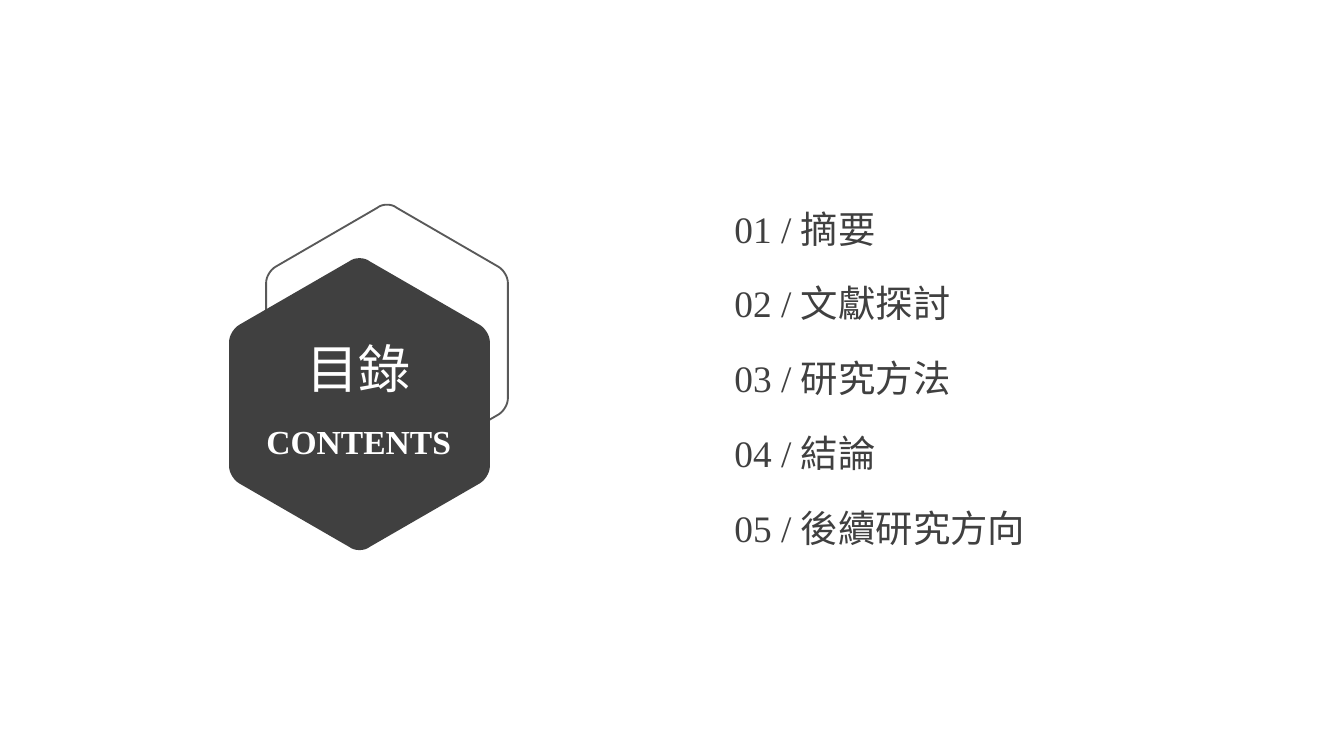
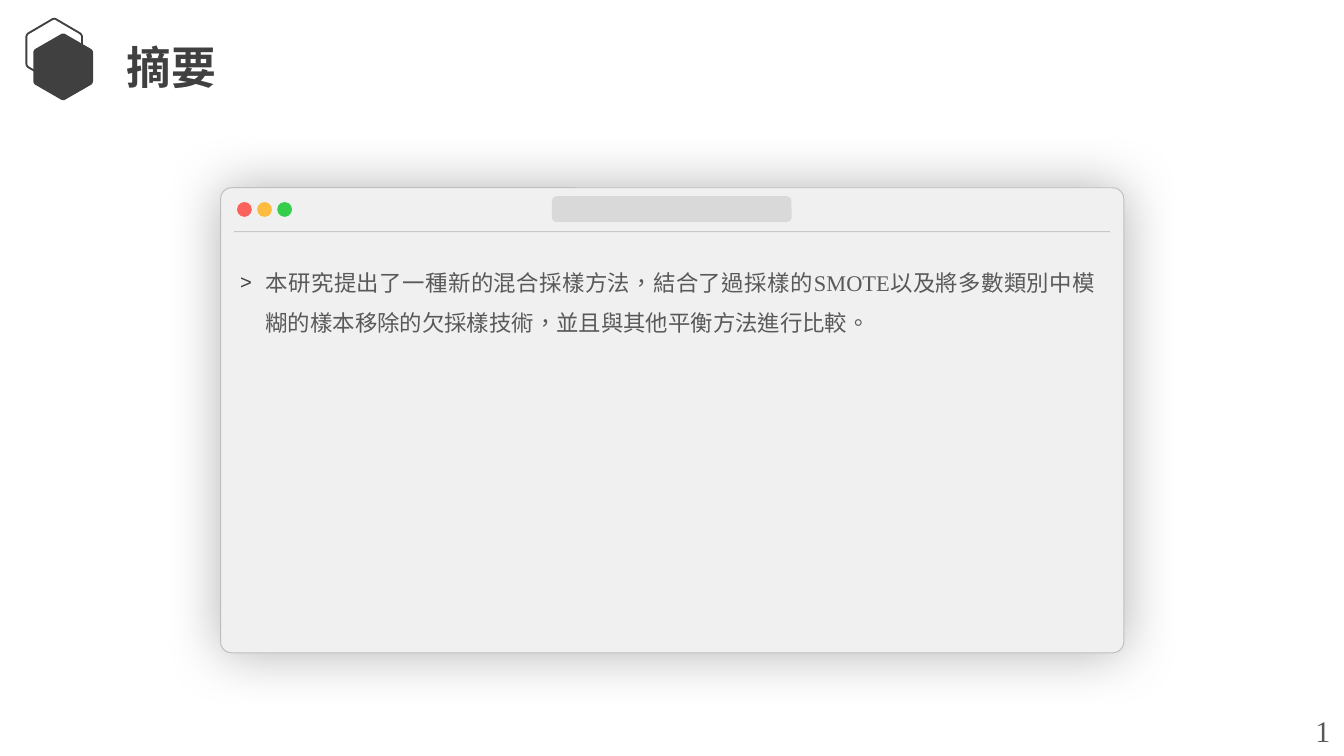
from dataclasses import dataclass

from lxml import etree
from pptx import Presentation
from pptx import util as u
from pptx.dml.color import RGBColor
from pptx.enum import lang, shapes, text
from pptx.oxml.ns import qn

DARK = RGBColor(0x40, 0x40, 0x40)
GREY = RGBColor(0x59, 0x59, 0x59)
BORDER = RGBColor(0xBF, 0xBF, 0xBF)
FIELD = RGBColor(0xD9, 0xD9, 0xD9)
PANEL = RGBColor(0xF0, 0xF0, 0xF0)
WHITE = RGBColor(0xFF, 0xFF, 0xFF)
RED = RGBColor(0xFC, 0x62, 0x5D)
AMBER = RGBColor(0xFD, 0xBC, 0x40)
GREEN = RGBColor(0x35, 0xCD, 0x4B)

FONT = "Times New Roman"
TIGHT = (0.18, 0.1)
ROOMY = (0.25, 0.13)
CURVE_STEPS = 8

# Rounded corners of a unit hexagon, as cubic curves
TOP_CORNER = [(0.46, 0.015), (0.48, 0), (0.52, 0), (0.54, 0.015)]
SIDE_CORNER = [(0.96, 0.23), (0.98, 0.24), (1, 0.265), (1, 0.29)]


@dataclass
class Area:
    """A place on the slide, in centimetres."""
    left: float
    top: float
    width: float
    height: float

    def lengths(self) -> list[u.Cm]:
        return [u.Cm(v) for v in (self.left, self.top, self.width, self.height)]


@dataclass
class Paint:
    fill: RGBColor | None = None
    line: RGBColor | None = None
    weight: float = 1


@dataclass
class Style:
    size: float
    color: RGBColor
    bold: bool = False


def apply_paint(shape, paint: Paint) -> None:
    shape.shadow.inherit = False
    if paint.fill is None:
        shape.fill.background()
    else:
        shape.fill.solid()
        shape.fill.fore_color.rgb = paint.fill
    if paint.line is None:
        shape.line.fill.background()
    else:
        shape.line.color.rgb = paint.line
        shape.line.width = u.Pt(paint.weight)


def add_block(canvas, kind, area: Area, paint: Paint, rounding: float | None = None):
    shape = canvas.add_shape(kind, *area.lengths())
    if rounding is not None:
        shape.adjustments[0] = rounding
    apply_paint(shape, paint)
    return shape


def curve_points(corner: list) -> list:
    """Points along one cubic curve."""
    points = []
    for step in range(CURVE_STEPS + 1):
        t = step / CURVE_STEPS
        weights = ((1 - t) ** 3, 3 * t * (1 - t) ** 2, 3 * t * t * (1 - t), t ** 3)
        points.append(tuple(sum(w * p[axis] for w, p in zip(weights, corner))
                            for axis in (0, 1)))
    return points


def hexagon_outline() -> list:
    upper_right = curve_points(SIDE_CORNER)
    lower_right = [(x, 1 - y) for x, y in reversed(upper_right)]
    right = curve_points(TOP_CORNER) + upper_right + lower_right
    # The left half is the right half turned by 180 degrees
    return right + [(1 - x, 1 - y) for x, y in right]


def add_hexagon(canvas, area: Area, paint: Paint) -> None:
    points = [(u.Cm(area.left + x * area.width), u.Cm(area.top + y * area.height))
              for x, y in hexagon_outline()]
    builder = canvas.build_freeform(*points[0])
    builder.add_line_segments(points[1:], close=True)
    apply_paint(builder.convert_to_shape(), paint)


def add_box(canvas, area: Area, insets=TIGHT, wrap=True, grow=True):
    box = canvas.add_textbox(*area.lengths())
    frame = box.text_frame
    frame.word_wrap = wrap
    if grow:
        frame.auto_size = text.MSO_AUTO_SIZE.SHAPE_TO_FIT_TEXT
    frame.margin_left = frame.margin_right = u.Cm(insets[0])
    frame.margin_top = frame.margin_bottom = u.Cm(insets[1])
    return frame


def add_span(para, wording: str, style: Style) -> None:
    span = para.add_run()
    span.text = wording
    span.font.name = FONT
    span.font.size = u.Pt(style.size)
    span.font.bold = style.bold
    span.font.color.rgb = style.color
    span.font.language_id = lang.MSO_LANGUAGE_ID.TRADITIONAL_CHINESE


def add_xml(parent, tag: str, **attributes: str):
    return etree.SubElement(parent, qn(tag), attributes)


def add_bullet(para, mark: str, indent: float) -> None:
    props = para._p.get_or_add_pPr()
    props.set("marL", str(u.Cm(indent)))
    props.set("indent", str(-u.Cm(indent)))
    add_xml(add_xml(props, "a:buClr"), "a:srgbClr", val=str(DARK))
    add_xml(props, "a:buSzPct", val="90000")
    add_xml(props, "a:buFont", typeface="Arial")
    add_xml(props, "a:buChar", char=mark)


def add_glow(shape) -> None:
    """A soft dark shadow on all sides."""
    effects = shape._element.spPr.find(qn("a:effectLst"))
    shadow = add_xml(effects, "a:outerShdw", blurRad=str(u.Pt(30)), dist="0",
                     algn="ctr", rotWithShape="0")
    color = add_xml(shadow, "a:srgbClr", val="000000")
    add_xml(color, "a:alpha", val="30000")


def add_rule(canvas, left: float, right: float, top: float) -> None:
    rule = canvas.add_connector(shapes.MSO_CONNECTOR.STRAIGHT,
                                u.Cm(left), u.Cm(top), u.Cm(right), u.Cm(top))
    rule.line.color.rgb = BORDER
    rule.line.width = u.Pt(0.5)
    props = rule._element.spPr
    add_xml(props.find(".//" + qn("a:srgbClr")), "a:alpha", val="80000")
    add_xml(props, "a:effectLst")


def add_emblem(canvas, outline: Area, solid: Area, line: RGBColor) -> None:
    add_hexagon(canvas, outline, Paint(line=line))
    add_hexagon(canvas, solid, Paint(fill=DARK))


def add_heading(page, title: str) -> None:
    canvas = page.shapes.add_group_shape().shapes
    add_emblem(canvas, Area(0.5, 0.35, 1.05, 1.2), Area(0.63, 0.63, 1.13, 1.27), DARK)
    frame = add_box(canvas, Area(2.21, 0.66, 2.69, 1.22))
    add_span(frame.paragraphs[0], title, Style(24, DARK, bold=True))


def add_page_number(page, number: int) -> None:
    frame = add_box(page.shapes, Area(24.61, 13.35, 0.79, 0.94), ROOMY, wrap=False)
    add_span(frame.paragraphs[0], str(number), Style(16, GREY))


def add_window(page) -> None:
    canvas = page.shapes.add_group_shape().shapes
    rounded = shapes.MSO_SHAPE.ROUNDED_RECTANGLE
    panel = add_block(canvas, rounded, Area(4.17, 3.55, 17.07, 8.79),
                      Paint(PANEL, BORDER, 0.5), 0.024)
    add_glow(panel)
    # Window buttons
    for index, color in enumerate((RED, AMBER, GREEN)):
        add_block(canvas, shapes.MSO_SHAPE.OVAL,
                  Area(4.48 + 0.38 * index, 3.82, 0.28, 0.28), Paint(color))
    # Address field and the rule below it
    add_block(canvas, rounded, Area(10.43, 3.71, 4.53, 0.49), Paint(FIELD), 0.19)
    add_rule(canvas, 4.42, 20.98, 4.38)


def build_contents(page) -> None:
    emblem = page.shapes.add_group_shape().shapes
    add_emblem(emblem, Area(5.03, 3.85, 4.57, 5.18), Area(4.33, 4.86, 4.93, 5.56), GREY)
    # Emblem title
    frame = add_box(page.shapes, Area(4.47, 6.25, 4.62, 2.59))
    title, subtitle = frame.paragraphs[0], frame.add_paragraph()
    title.alignment = subtitle.alignment = text.PP_ALIGN.CENTER
    title.space_after = u.Pt(12)
    add_span(title, "目錄", Style(28, WHITE))
    add_span(subtitle, "CONTENTS", Style(18, WHITE, bold=True))
    # Chapter list
    chapters = ("摘要", "文獻探討", "研究方法", "結論", "後續研究方向")
    for index, chapter in enumerate(chapters):
        frame = add_box(page.shapes, Area(13.7, 3.79 + 1.415 * index, 8.28, 1.04))
        add_span(frame.paragraphs[0], f"{index + 1:02} / {chapter}", Style(20, DARK))


def build_abstract(page) -> None:
    add_window(page)
    frame = add_box(page.shapes, Area(4.29, 4.7, 16.66, 5.77), ROOMY, grow=False)
    para = frame.paragraphs[0]
    para.alignment = text.PP_ALIGN.JUSTIFY
    para.line_spacing = 1.5
    add_bullet(para, ">", 0.48)
    add_span(para, "本研究提出了一種新的混合採樣方法，結合了過採樣的SMOTE以及將多數類別中"
                   "模糊的樣本移除的欠採樣技術，並且與其他平衡方法進行比較。", Style(12, GREY))
    add_heading(page, "摘要")
    add_page_number(page, 1)


def main() -> None:
    deck = Presentation()
    deck.slide_width, deck.slide_height = u.Cm(25.4), u.Cm(14.29)
    for build in (build_contents, build_abstract):
        build(deck.slides.add_slide(deck.slide_layouts[6]))
    deck.save("out.pptx")


if __name__ == "__main__":
    main()
